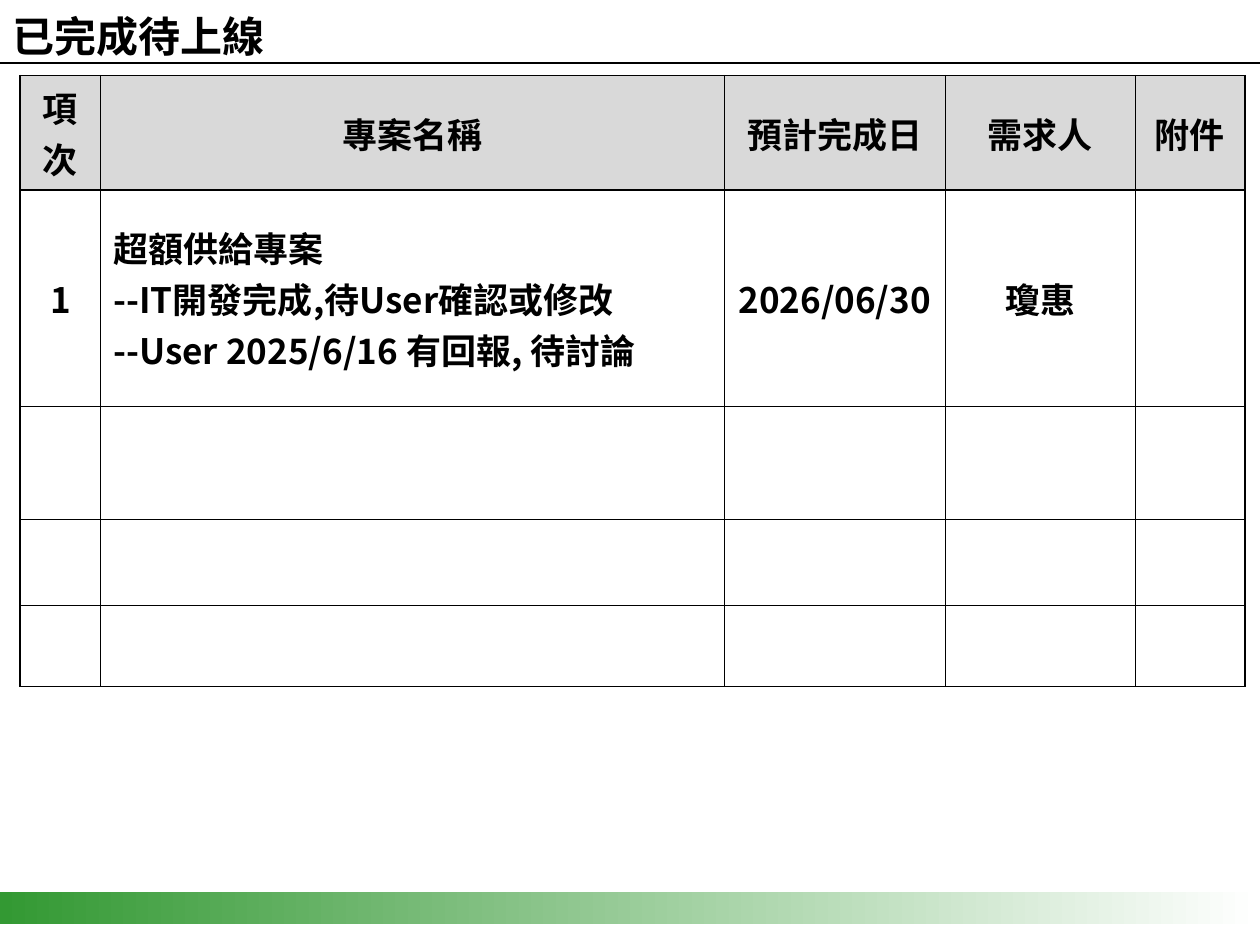
from lxml import etree
from pptx import Presentation
from pptx.dml.color import RGBColor
from pptx.enum.shapes import MSO_CONNECTOR, MSO_SHAPE
from pptx.enum.text import MSO_ANCHOR, PP_ALIGN
from pptx.oxml.ns import qn
from pptx.util import Inches, Pt

STRAIGHT = MSO_CONNECTOR.STRAIGHT
RECTANGLE = MSO_SHAPE.RECTANGLE
MIDDLE = MSO_ANCHOR.MIDDLE
LEFT, CENTER = PP_ALIGN.LEFT, PP_ALIGN.CENTER
FONT = "Noto Sans CJK SC"
BLACK, WHITE, GREEN, GREY = "000000", "FFFFFF", "339933", "D9D9D9"
THICK, MEDIUM, THIN = 0.96, 0.45, 0.23
COLUMN_WIDTHS = [0.64, 4.95, 1.75, 1.51, 0.87]
ROW_HEIGHTS = [0.91, 1.71, 0.9, 0.68, 0.65]
ROWS = [
    ["項\n次", "專案名稱", "預計完成日", "需求人", "附件"],
    ["1", "超額供給專案\n--IT開發完成,待User確認或修改\n--User 2025/6/16 有回報, 待討論",
     "2026/06/30", "瓊惠", ""],
    [""] * 5,
    [""] * 5,
    [""] * 5,
]


def color(value):
    """Return the colour for a hex string."""
    return RGBColor.from_string(value)


def write_text(frame, text, size, alignment=LEFT, hanging=0):
    """Write bold black lines, one paragraph per line."""
    frame.text = text
    for paragraph in frame.paragraphs:
        paragraph.alignment = alignment
        properties = paragraph._p.get_or_add_pPr()
        if hanging:
            properties.set("marL", str(Inches(hanging)))
            properties.set("indent", str(-Inches(hanging)))
        font = paragraph.font
        font.size, font.bold, font.name = Pt(size), True, FONT
        font.color.rgb = color(BLACK)
        east_asian = etree.SubElement(properties.find(qn("a:defRPr")), qn("a:ea"))
        east_asian.set("typeface", FONT)


def set_borders(cell, left, right, top, bottom):
    """Draw the four black borders of a cell with widths in points."""
    properties = cell._tc.get_or_add_tcPr()
    for side, width in zip("LRTB", (left, right, top, bottom)):
        line = etree.SubElement(properties, qn(f"a:ln{side}"), w=str(Pt(width)))
        fill = etree.SubElement(line, qn("a:solidFill"))
        etree.SubElement(fill, qn("a:srgbClr"), val=BLACK)


def add_footer_band(slide, left, top, width, height):
    """Add the band that fades from green to white."""
    band = slide.shapes.add_shape(
        RECTANGLE, Inches(left), Inches(top), Inches(width), Inches(height))
    band.shadow.inherit = False
    band.line.fill.background()
    band.fill.gradient()
    band.fill.gradient_angle = 0
    for stop, value in zip(band.fill.gradient_stops, (GREEN, WHITE)):
        stop.color.rgb = color(value)


def add_title(slide, left, top, width, height):
    """Add the title and the rule beneath it."""
    rule = slide.shapes.add_connector(
        STRAIGHT, Inches(0), Inches(0.5), Inches(10), Inches(0.5))
    rule.line.color.rgb = color(BLACK)
    rule.line.width = Pt(0.75)
    etree.SubElement(rule._element.spPr, qn("a:effectLst"))
    title = slide.shapes.add_textbox(
        Inches(left), Inches(top), Inches(width), Inches(height))
    title.text_frame.word_wrap = True
    title.text_frame.vertical_anchor = MIDDLE
    write_text(title.text_frame, "已完成待上線", 24)


def add_project_table(slide, left, top, width, height):
    """Add the table of finished projects."""
    table = slide.shapes.add_table(
        len(ROWS), len(COLUMN_WIDTHS),
        Inches(left), Inches(top), Inches(width), Inches(height)).table
    table.first_row = table.horz_banding = False
    for column, column_width in zip(table.columns, COLUMN_WIDTHS):
        column.width = Inches(column_width)
    for row, row_height in zip(table.rows, ROW_HEIGHTS):
        row.height = Inches(row_height)
    last_column = len(COLUMN_WIDTHS) - 1
    for row_index, texts in enumerate(ROWS):
        for column_index, text in enumerate(texts):
            cell = table.cell(row_index, column_index)
            set_borders(
                cell,
                THICK if column_index == 0 else MEDIUM,
                THICK if column_index == last_column else MEDIUM,
                THICK if row_index < 2 else THIN,
                THICK if row_index == 0 else THIN)
            cell.vertical_anchor = MIDDLE
            if row_index == 0:
                cell.fill.solid()
                cell.fill.fore_color.rgb = color(GREY)
            else:
                cell.fill.background()
            if text:
                plain = row_index == 1 and column_index < 2
                left_aligned = row_index == 1 and column_index == 1
                write_text(cell.text_frame, text, 20,
                           LEFT if left_aligned else CENTER, 0 if plain else 0.38)
    requester = table.cell(1, 3)
    requester.margin_left = requester.margin_right = Inches(0.01)


def main():
    """Build the slide and save it."""
    presentation = Presentation()
    presentation.slide_width, presentation.slide_height = Inches(10), Inches(7.5)
    slide = presentation.slides.add_slide(presentation.slide_layouts[6])
    add_footer_band(slide, 0, 7.08, 10, 0.25)
    add_title(slide, 0, -0.04, 8.39, 0.64)
    add_project_table(slide, 0.16, 0.6, sum(COLUMN_WIDTHS), sum(ROW_HEIGHTS))
    presentation.save("out.pptx")


if __name__ == "__main__":
    main()
